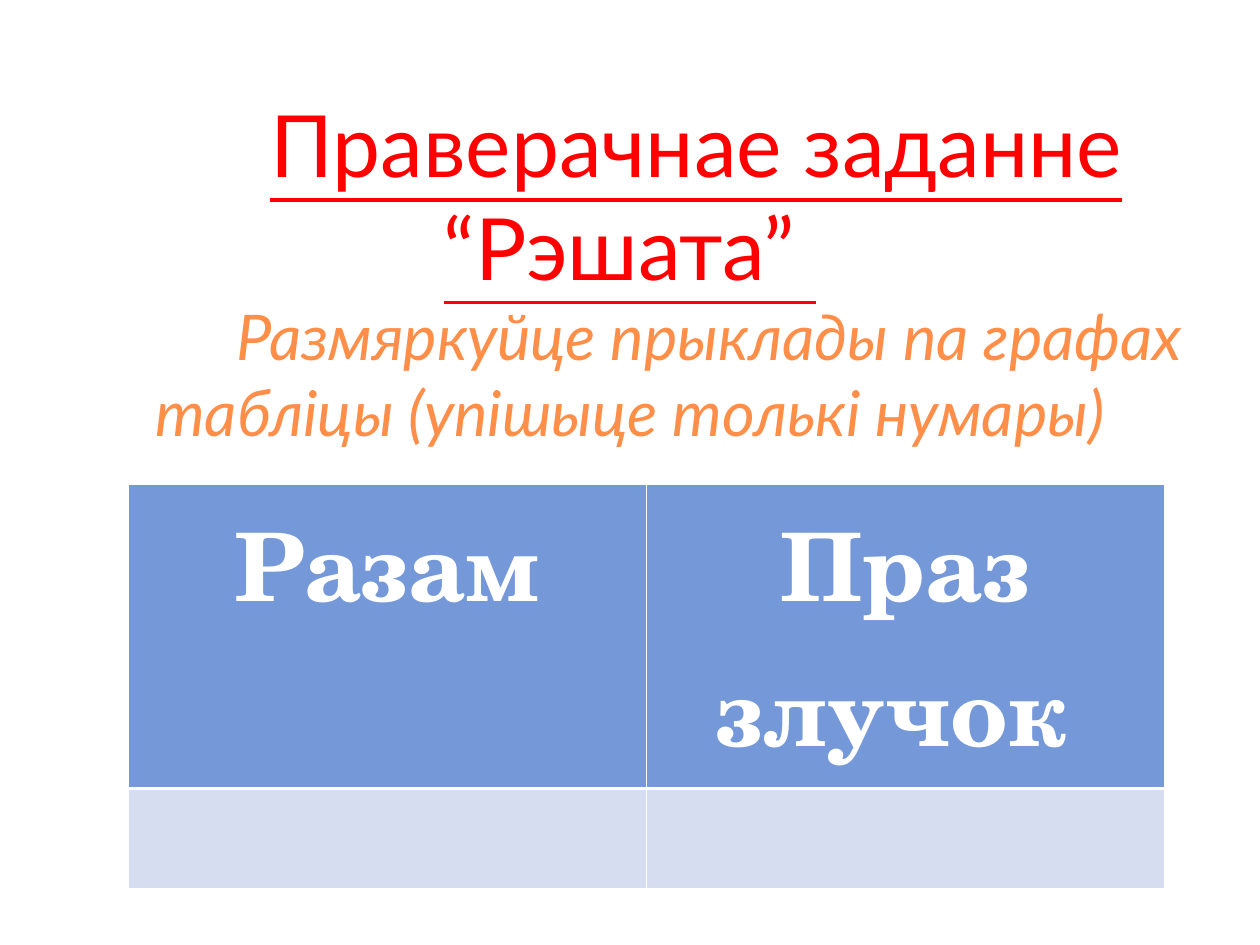
from pptx import Presentation
from pptx.dml.color import RGBColor
from pptx.enum.text import MSO_ANCHOR, MSO_AUTO_SIZE, PP_ALIGN
from pptx.oxml.ns import qn
from pptx.util import Inches, Pt
from lxml import etree

CENTER = PP_ALIGN.CENTER
MIDDLE = MSO_ANCHOR.MIDDLE
NO_FIT = MSO_AUTO_SIZE.NONE
TITLE_ONLY = 5


def color(value):
    return RGBColor.from_string(value)


def write(para, text, *, size, font, fill, bold=False, italic=False,
          underline=False, indent=0):
    """Fill a centred paragraph; indent moves its first line."""
    para.alignment = CENTER
    if indent:
        props = para._p.get_or_add_pPr()
        props.set("marL", "0")
        props.set("indent", str(Inches(indent)))
    # A newline in the text becomes a line break
    for number, line in enumerate(text.split("\n")):
        if number:
            para.add_line_break()
        span = para.add_run()
        span.text = line
        span.font.size = Pt(size)
        span.font.name = font
        span.font.color.rgb = color(fill)
        span.font.bold = bold
        span.font.italic = italic
        span.font.underline = underline


class TaskSlide:
    title_font = "Lato"
    table_font = "TeX Gyre Schola"
    title_color = "FF0000"
    hint_color = "FF8E49"
    white = "FFFFFF"
    header_fill = "7598D9"
    body_fill = "D6DDF1"
    thin, thick = 0.45, 1.47

    def __init__(self, deck):
        self.page = deck.slides.add_slide(deck.slide_layouts[TITLE_ONLY])

    def title(self, heading, hint, left, top, width, height):
        box = self.page.shapes.title
        box.left, box.top = Inches(left), Inches(top)
        box.width, box.height = Inches(width), Inches(height)
        frame = box.text_frame
        frame.word_wrap = True
        frame.auto_size = NO_FIT
        frame.vertical_anchor = MIDDLE
        write(frame.paragraphs[0], heading, size=49, font=self.title_font,
              fill=self.title_color, underline=True, indent=1.05)
        write(frame.add_paragraph(), hint, size=36, font=self.title_font,
              fill=self.hint_color, italic=True, indent=1.26)

    def borders(self, cell, top, bottom):
        props = cell._tc.get_or_add_tcPr()
        widths = {"a:lnL": self.thin, "a:lnR": self.thin,
                  "a:lnT": top, "a:lnB": bottom}
        for tag, width in widths.items():
            line = etree.SubElement(props, qn(tag), w=str(Pt(width)))
            fill = etree.SubElement(line, qn("a:solidFill"))
            etree.SubElement(fill, qn("a:srgbClr"), val=self.white)

    def table(self, headers, row_heights, left, top, width):
        table = self.page.shapes.add_table(
            len(row_heights), len(headers), Inches(left), Inches(top),
            Inches(width), Inches(sum(row_heights))).table
        for row, height in zip(table.rows, row_heights):
            row.height = Inches(height)
        for column, header in enumerate(headers):
            # Header cell
            cell = table.cell(0, column)
            write(cell.text_frame.paragraphs[0], header, size=54,
                  font=self.table_font, fill=self.white, bold=True)
            self.borders(cell, self.thin, self.thick)
            cell.fill.solid()
            cell.fill.fore_color.rgb = color(self.header_fill)
            # Answer cell
            cell = table.cell(1, column)
            self.borders(cell, self.thick, self.thin)
            cell.fill.solid()
            cell.fill.fore_color.rgb = color(self.body_fill)


def main():
    deck = Presentation()
    deck.slide_width, deck.slide_height = Inches(10), Inches(7.5)
    slide = TaskSlide(deck)
    slide.title("Праверачнае заданне\n“Рэшата” ",
                "Размяркуйце прыклады па графах табліцы "
                "(упішыце толькі нумары)",
                left=0.5, top=0.78, width=9, height=2.73)
    slide.table(["Разам", "Праз злучок "], [1.9, 0.79],
                left=1.02, top=3.84, width=8.22)
    deck.save("out.pptx")


if __name__ == "__main__":
    main()
